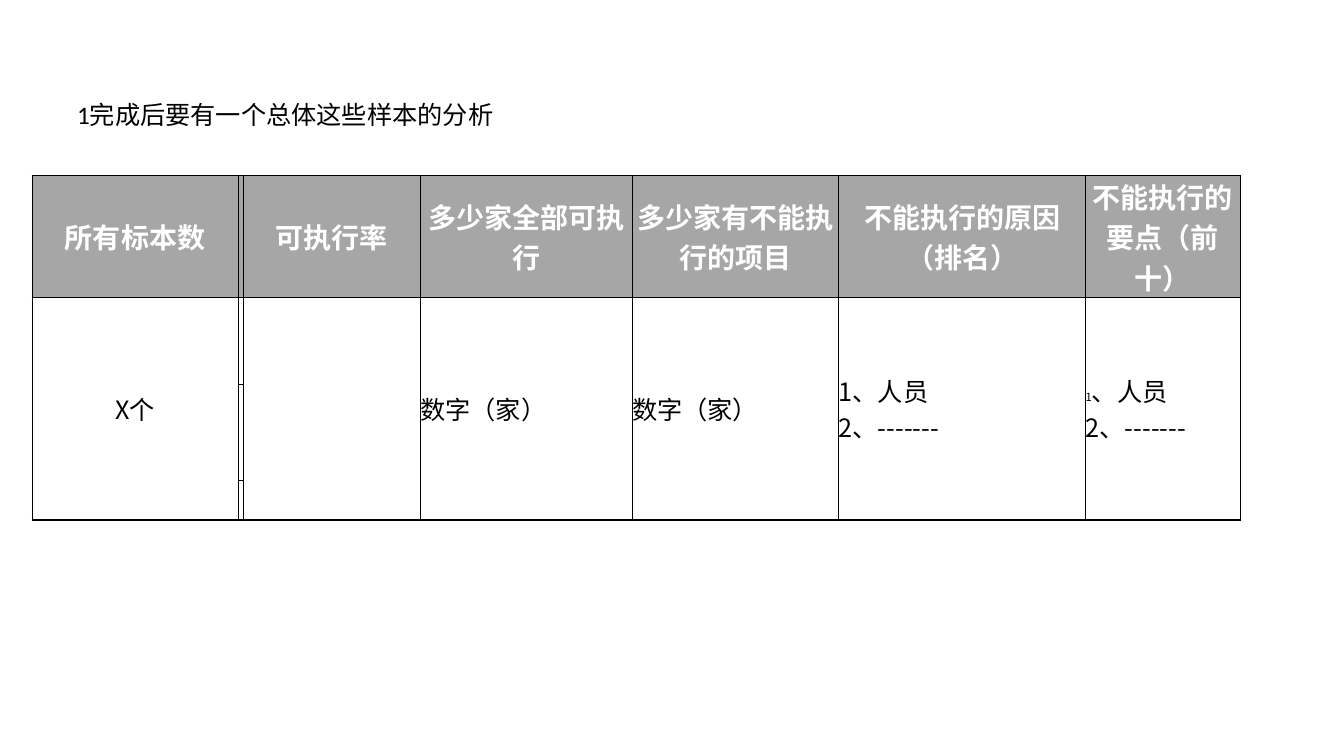
from lxml import etree
from pptx import Presentation
from pptx.dml.color import RGBColor
from pptx.enum.text import MSO_ANCHOR, PP_ALIGN
from pptx.oxml.ns import qn
from pptx.util import Inches, Pt

CENTER, LEFT = PP_ALIGN.CENTER, PP_ALIGN.LEFT
MIDDLE = MSO_ANCHOR.MIDDLE
COLORS = {"header": "A6A6A6", "body": "FFFFFF", "text": "000000",
          "header_text": "FFFFFF", "border": "000000"}
LATIN, CJK = "Calibri", "Noto Sans CJK SC"
SLIDE_W, SLIDE_H = Inches(13.33), Inches(7.5)
COLUMN_SHARES = [2.04, 0.05, 1.76, 2.1, 2.05, 2.45, 1.53]
ROW_SHARES = [0.89, 0.86, 0.96, 0.39]
SPACER = 1
HEADINGS = ["所有标本数", "", "可执行率", "多少家全部可执行", "多少家有不能执行的项目",
            "不能执行的原因（排名）", "不能执行的要点（前十）"]
COUNT = [[("数字（家）", 18)]]
RESULTS = {
    0: [[("X个", 18)]],
    3: COUNT,
    4: COUNT,
    5: [[("1、人员", 18)], [("2、-------", 18)]],
    6: [[("1", 8), ("、人员", 18)], [("2、-------", 18)]],
}


def share_box(left, top, width, height):
    """Turn percentages of the slide into a box in EMU."""
    return (int(SLIDE_W * left / 100), int(SLIDE_H * top / 100),
            int(SLIDE_W * width / 100), int(SLIDE_H * height / 100))


def write(frame, paragraphs, color, font=CJK, bold=False, align=LEFT):
    """Write paragraphs of (text, size) runs into a text frame."""
    for index, runs in enumerate(paragraphs):
        paragraph = frame.paragraphs[0] if index == 0 else frame.add_paragraph()
        paragraph.alignment = align
        for text, size in runs:
            run = paragraph.add_run()
            run.text = text
            run.font.size = Pt(size)
            run.font.bold = bold
            run.font.name = font
            run.font.color.rgb = RGBColor.from_string(COLORS[color])
            run.font.fill
            east_asian = etree.SubElement(run.font._element, qn("a:ea")) if hasattr(
                run.font, "_element") else etree.SubElement(run._r.get_or_add_rPr(), qn("a:ea"))
            east_asian.set("typeface", CJK)


def style_cell(cell, fill, left_width=0.5, bottom_width=0.5):
    """Give a cell its borders, fill, anchor and zero margins."""
    cell.margin_left = cell.margin_right = cell.margin_top = cell.margin_bottom = 0
    cell.vertical_anchor = MIDDLE
    properties = cell._tc.get_or_add_tcPr()
    edges = {"a:lnL": left_width, "a:lnR": 0.5, "a:lnT": 0.5, "a:lnB": bottom_width}
    for edge, width in edges.items():
        line = etree.SubElement(properties, qn(edge), w=str(Pt(width)))
        solid = etree.SubElement(line, qn("a:solidFill"))
        etree.SubElement(solid, qn("a:srgbClr"), val=COLORS["border"])
    cell.fill.solid()
    cell.fill.fore_color.rgb = RGBColor.from_string(COLORS[fill])


def add_caption(slide, box):
    """Place the sentence above the table."""
    caption = slide.shapes.add_textbox(*box).text_frame
    caption.word_wrap = True
    write(caption, [[("1完成后要有一个总体这些样本的分析", 18)]], "text", font=LATIN)


def add_summary_table(slide, box):
    """Place the sample summary table, its tracks shared out over the box."""
    left, top, width, height = box
    last_row = len(ROW_SHARES) - 1
    table = slide.shapes.add_table(len(ROW_SHARES), len(COLUMN_SHARES), *box).table
    for column, share in zip(table.columns, COLUMN_SHARES):
        column.width = int(width * share / sum(COLUMN_SHARES))
    for row, share in zip(table.rows, ROW_SHARES):
        row.height = int(height * share / sum(ROW_SHARES))
    for index, heading in enumerate(HEADINGS):
        edge = 1 if index == 0 else 0.5
        header = table.cell(0, index)
        style_cell(header, "header", edge)
        if heading:
            write(header.text_frame, [[(heading, 20)]], "header_text", bold=True, align=CENTER)
        if index == SPACER:
            for row in range(1, last_row + 1):
                style_cell(table.cell(row, index), "body", edge, 1 if row == last_row else 0.5)
            continue
        result = table.cell(1, index)
        result.merge(table.cell(last_row, index))
        style_cell(result, "body", edge, 1)
        write(result.text_frame, RESULTS.get(index, []), "text",
              align=CENTER if index == 0 else LEFT)


def build_slide(presentation):
    """Add the sample analysis slide."""
    slide = presentation.slides.add_slide(presentation.slide_layouts[6])
    add_summary_table(slide, share_box(2.4, 23.2, 89.87, 41.33))
    add_caption(slide, share_box(5, 12.5, 50.3, 5.4))


deck = Presentation()
deck.slide_width, deck.slide_height = SLIDE_W, SLIDE_H
build_slide(deck)
deck.save("out.pptx")
